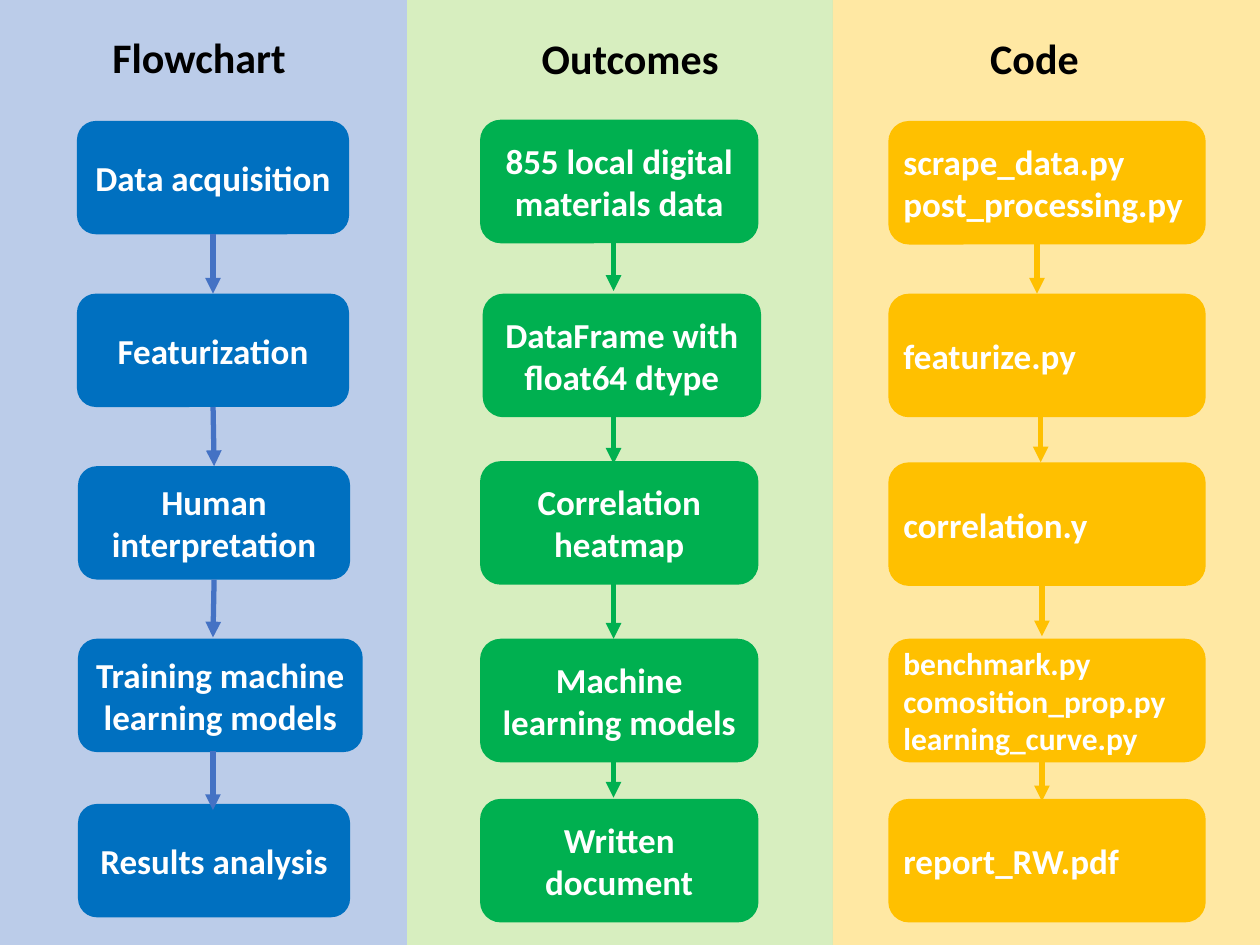
from collections import namedtuple

from lxml import etree
from pptx import Presentation
from pptx.dml.color import RGBColor
from pptx.enum.shapes import MSO_CONNECTOR, MSO_SHAPE
from pptx.enum.text import MSO_ANCHOR, MSO_AUTO_SIZE, PP_ALIGN
from pptx.oxml.ns import qn
from pptx.util import Pt

RECT, ROUNDED = MSO_SHAPE.RECTANGLE, MSO_SHAPE.ROUNDED_RECTANGLE
STRAIGHT = MSO_CONNECTOR.STRAIGHT
LEFT, CENTER = PP_ALIGN.LEFT, PP_ALIGN.CENTER
MIDDLE = MSO_ANCHOR.MIDDLE
GROW = MSO_AUTO_SIZE.SHAPE_TO_FIT_TEXT
TOP_SITE, BOTTOM_SITE = 0, 2

BLACK = RGBColor(0x00, 0x00, 0x00)
WHITE = RGBColor(0xFF, 0xFF, 0xFF)
INDIGO = RGBColor(0x44, 0x72, 0xC4)
BLUE = RGBColor(0x00, 0x70, 0xC0)
LIME = RGBColor(0x92, 0xD0, 0x50)
GREEN = RGBColor(0x00, 0xB0, 0x50)
AMBER = RGBColor(0xFF, 0xC0, 0x00)

PANEL_TOP, PANEL_HEIGHT, PANEL_OPACITY = -2.9, 553, 36
HEADING_HEIGHT = 36
JOIN_TOLERANCE = 1.5

Column = namedtuple(
    "Column", "heading heading_box panel panel_color step_color arrow_color "
    "align step_height steps arrows")
Step = namedtuple("Step", "text left top width size", defaults=[20])
Arrow = namedtuple("Arrow", "x start end")

COLUMNS = [
    Column(
        "Flowchart", (51.1, 14.4, 125.3), (-4.3, 236.9),
        INDIGO, BLUE, INDIGO, CENTER, 64.8,
        [Step("Data acquisition", 44, 69.1, 155.5),
         Step("Featurization", 44, 167.8, 155.5),
         Step("Human interpretation", 44.6, 266.4, 155.5),
         Step("Training machine learning models", 44.6, 365, 162.7),
         Step("Results analysis", 44.6, 459.4, 155.5)],
        [Arrow(121.7, 133.2 + 98.64 * i, 167 + 98.64 * i) for i in range(4)]),
    Column(
        "Outcomes", (297.4, 15.1, 125.3), (232.6, 243.4),
        LIME, GREEN, GREEN, CENTER, 70.6,
        [Step("855 local digital materials data", 274.3, 68.4, 159.1),
         Step("DataFrame with float64 dtype", 275.8, 167.8, 159.1),
         Step("Correlation heatmap", 274.3, 263.5, 159.1),
         Step("Machine learning models", 274.3, 365, 159.1),
         Step("Written document", 274.3, 456.5, 159.1)],
        [Arrow(350.6, 137.5, 166.3), Arrow(350.6, 237.6, 265),
         Arrow(350.6, 333.4, 365), Arrow(350.6, 435.6, 455.8)]),
    Column(
        "Code", (549.4, 15.1, 83.5), (475.9, 244.1),
        AMBER, AMBER, AMBER, LEFT, 70.6,
        [Step("scrape_data.py\npost_processing.py", 507.6, 69.1, 181.4),
         Step("featurize.py", 507.6, 167.8, 181.4),
         Step("correlation.y", 507.6, 264.2, 181.4),
         Step("benchmark.py\ncomosition_prop.py\nlearning_curve.py",
              507.6, 365, 181.4, 18),
         Step("report_RW.pdf", 507.6, 456.5, 181.4)],
        [Arrow(592.6, 139, 167.8), Arrow(594.7, 237.6, 264.2),
         Arrow(595.4, 333.4, 363.6), Arrow(595.4, 432.7, 457.9)]),
]


def write_text(frame, text, size=20, color=WHITE, align=CENTER, font="Calibri"):
    """Put each line of the text in its own bold paragraph."""
    for i, line in enumerate(text.split("\n")):
        paragraph = frame.paragraphs[0] if i == 0 else frame.add_paragraph()
        paragraph.alignment = align
        run = paragraph.add_run()
        run.text = line
        run.font.name, run.font.size, run.font.bold = font, Pt(size), True
        run.font.color.rgb = color


class ColumnChart:
    """Draws the parts of a column flowchart on one slide."""

    arrow_width = 3
    inset_x, inset_y = 5.2, 2.9

    def __init__(self, slide):
        self.shapes = slide.shapes

    def block(self, kind, left, top, width, height, color):
        shape = self.shapes.add_shape(
            kind, Pt(left), Pt(top), Pt(width), Pt(height))
        shape.shadow.inherit = False
        shape.fill.solid()
        shape.fill.fore_color.rgb = color
        shape.line.fill.background()
        return shape

    def panel(self, left, width, color):
        shape = self.block(RECT, left, PANEL_TOP, width, PANEL_HEIGHT, color)
        color_node = next(shape.fill._xPr.iter(qn("a:srgbClr")))
        etree.SubElement(color_node, qn("a:alpha"), val=str(PANEL_OPACITY * 1000))

    def heading(self, text, left, top, width):
        box = self.shapes.add_textbox(
            Pt(left), Pt(top), Pt(width), Pt(HEADING_HEIGHT))
        box.text_frame.word_wrap = True
        box.text_frame.auto_size = GROW
        write_text(box.text_frame, text, size=24, color=BLACK)

    def step(self, step, height, color, align):
        shape = self.block(ROUNDED, step.left, step.top, step.width, height, color)
        frame = shape.text_frame
        frame.word_wrap = True
        frame.vertical_anchor = MIDDLE
        frame.margin_left = frame.margin_right = Pt(self.inset_x)
        frame.margin_top = frame.margin_bottom = Pt(self.inset_y)
        write_text(frame, step.text, size=step.size, align=align)
        return shape

    def arrow(self, arrow, color, upper, lower):
        """Draw an arrow, joined to each step whose side middle it meets."""
        x, start, end = Pt(arrow.x), Pt(arrow.start), Pt(arrow.end)
        line = self.shapes.add_connector(STRAIGHT, x, start, x, end)
        if self.meets(x, start, upper, upper.top + upper.height):
            line.begin_connect(upper, BOTTOM_SITE)
        if self.meets(x, end, lower, lower.top):
            line.end_connect(lower, TOP_SITE)
        line.line.color.rgb = color
        line.line.width = Pt(self.arrow_width)
        etree.SubElement(line.line._get_or_add_ln(), qn("a:tailEnd"), type="triangle")
        etree.SubElement(line._element.spPr, qn("a:effectLst"))

    @staticmethod
    def meets(x, y, shape, side):
        middle = shape.left + shape.width / 2
        return max(abs(x - middle), abs(y - side)) <= Pt(JOIN_TOLERANCE)


def main():
    deck = Presentation()
    deck.slide_width, deck.slide_height = Pt(720), Pt(540)
    chart = ColumnChart(deck.slides.add_slide(deck.slide_layouts[6]))

    for column in COLUMNS:
        chart.panel(*column.panel, column.panel_color)
        chart.heading(column.heading, *column.heading_box)
        boxes = [chart.step(step, column.step_height, column.step_color, column.align)
                 for step in column.steps]
        for arrow, upper, lower in zip(column.arrows, boxes, boxes[1:]):
            chart.arrow(arrow, column.arrow_color, upper, lower)

    deck.save("out.pptx")


if __name__ == "__main__":
    main()
